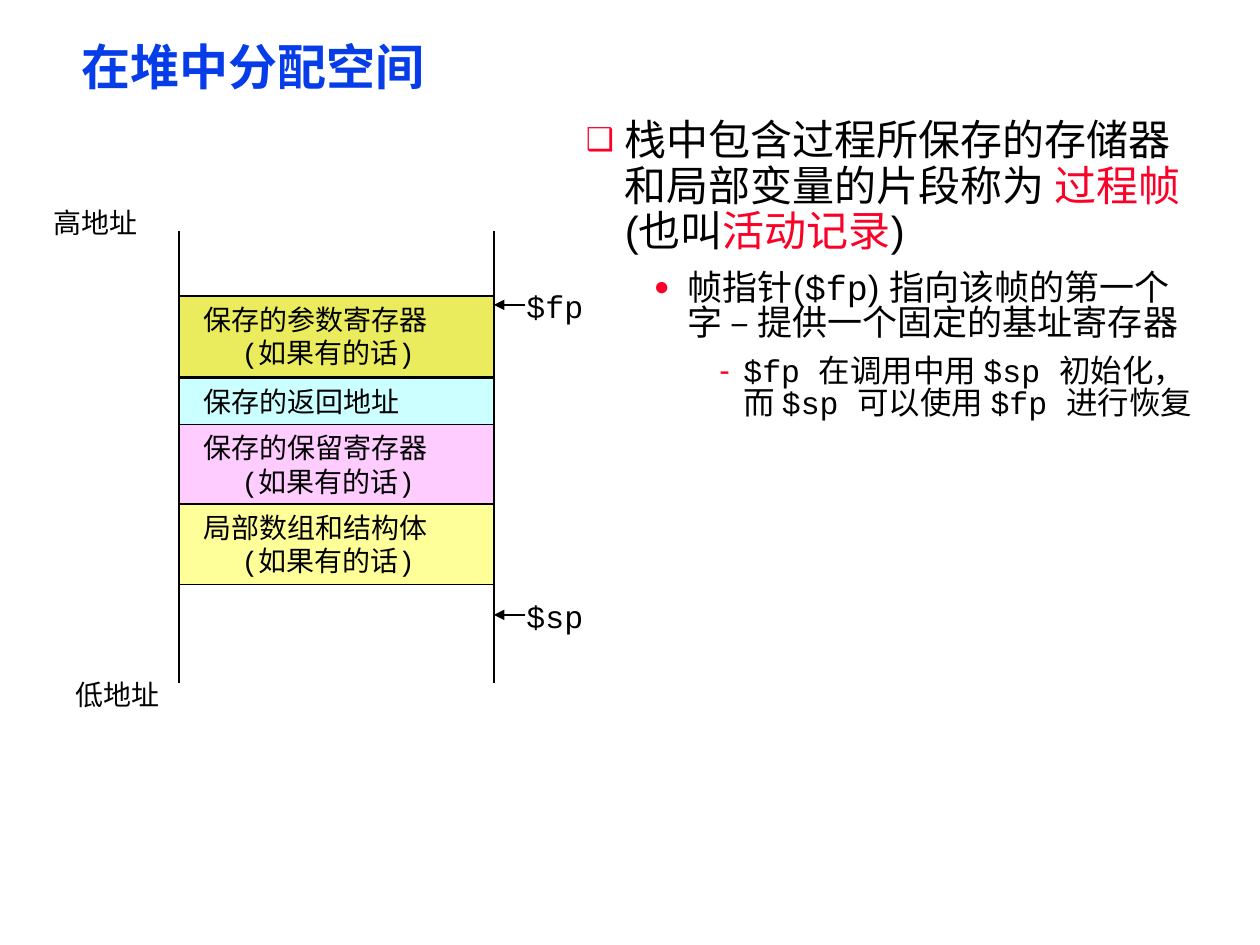
from typing import NamedTuple

from lxml import etree
from pptx import Presentation
from pptx.dml.color import RGBColor
from pptx.enum import shapes, text
from pptx.oxml import ns
from pptx.util import Inches, Pt

SANS, MONO, CJK = "Arial", "Courier New", "Noto Sans CJK SC"
BLACK, RED, BLUE = "000000", "FC0128", "063DE8"
STACK_LEFT, STACK_RIGHT = 1.42, 3.92
INSETS = (0.07, 0.03)


class Run(NamedTuple):
    text: str
    font: str = SANS
    color: str = BLACK


class Bullet(NamedTuple):
    level: int
    char: str
    scale: int
    margin: float
    hang: float
    size: int
    spacing: float
    before: int
    runs: list[Run]


class Block(NamedTuple):
    top: float
    height: float
    color: str
    lines: list[str]


class Label(NamedTuple):
    left: float
    top: float
    width: float
    height: float
    text: str
    size: int


IF_ANY = "(如果有的话)"
BLOCKS = [
    Block(2.35, 0.64, "EAEC5E", ["保存的参数寄存器", IF_ANY]),
    Block(3.0, 0.38, "CCFFFF", ["保存的返回地址"]),
    Block(3.37, 0.64, "FFCCFF", ["保存的保留寄存器", IF_ANY]),
    Block(4.0, 0.64, "FFFF99", ["局部数组和结构体", IF_ANY]),
]
LINE_INDENTS = (0.1, 0.4)
LABELS = [
    Label(0.5, 5.33, 0.88, 0.37, "低地址", 16),
    Label(0.33, 1.58, 0.88, 0.37, "高地址", 16),
    Label(4.08, 2.23, 0.65, 0.4, "$fp", 18),
    Label(4.08, 4.69, 0.65, 0.4, "$sp", 18),
]
POINTER_YS = (2.42, 4.88)
BULLETS = [
    Bullet(0, "❑", 75, 0.31, -0.31, 24, 0.9, 0, [
        Run("栈中包含过程所保存的存储器和局部变量的片段称为 "),
        Run("过程帧", color=RED), Run(" (也叫"),
        Run("活动记录", color=RED), Run(")")]),
    Bullet(1, "●", 75, 0.81, -0.27, 20, 0.85, 9, [
        Run("帧指针("), Run("$fp", MONO),
        Run(") 指向该帧的第一个字 – 提供一个固定的基址寄存器")]),
    Bullet(2, "-", 100, 1.25, -0.19, 18, 0.85, 8, [
        Run("$fp ", MONO), Run("在调用中用 "),
        Run("$sp 初始化，而 $sp ", MONO), Run("可以使用 "),
        Run("$fp ", MONO), Run("进行恢复")]),
]


def rgb(value: str) -> RGBColor:
    return RGBColor.from_string(value)


def add_xml(parent, tag: str, **attrs):
    return etree.SubElement(parent, ns.qn(tag), attrs)


def style_run(r, font: str, size: int, color: str, bold: bool = False) -> None:
    r.font.name, r.font.size, r.font.bold = font, Pt(size), bold
    r.font.color.rgb = rgb(color)
    add_xml(r.font._element, "a:ea", typeface=CJK)


def set_insets(tf) -> None:
    tf.margin_left = tf.margin_right = Inches(INSETS[0])
    tf.margin_top = tf.margin_bottom = Inches(INSETS[1])


def set_indent(p, margin: float, hang: float = 0) -> None:
    pPr = p._p.get_or_add_pPr()
    pPr.set("marL", str(Inches(margin)))
    pPr.set("indent", str(Inches(hang)))


def add_line(s, x1: float, y1: float, x2: float, y2: float, arrow: bool = False) -> None:
    line = s.shapes.add_connector(shapes.MSO_CONNECTOR.STRAIGHT,
                                  Inches(x1), Inches(y1), Inches(x2), Inches(y2))
    line.line.color.rgb = rgb(BLACK)
    line.line.width = Pt(1)
    if arrow:
        add_xml(line.line._get_or_add_ln(), "a:tailEnd", type="triangle")
    add_xml(line._element.spPr, "a:effectLst")


def add_block(s, block: Block) -> None:
    sp = s.shapes.add_shape(shapes.MSO_SHAPE.RECTANGLE, Inches(STACK_LEFT), Inches(block.top),
                            Inches(STACK_RIGHT - STACK_LEFT), Inches(block.height))
    sp.shadow.inherit = False
    sp.fill.solid()
    sp.fill.fore_color.rgb = rgb(block.color)
    sp.line.color.rgb = rgb(BLACK)
    sp.line.width = Pt(1)
    tf = sp.text_frame
    tf.vertical_anchor = text.MSO_ANCHOR.TOP
    tf.text = "\n".join(block.lines)
    for p, indent in zip(tf.paragraphs, LINE_INDENTS):
        p.alignment = text.PP_ALIGN.LEFT
        set_indent(p, indent)
        style_run(p.runs[0], MONO, 16, BLACK)


def add_label(s, label: Label) -> None:
    sp = s.shapes.add_textbox(Inches(label.left), Inches(label.top),
                              Inches(label.width), Inches(label.height))
    tf = sp.text_frame
    tf.word_wrap = False
    tf.text = label.text
    style_run(tf.paragraphs[0].runs[0], MONO, label.size, BLACK)


def add_bullet(p, bullet: Bullet) -> None:
    p.level = bullet.level
    p.line_spacing = bullet.spacing
    p.space_before = Pt(bullet.before)
    set_indent(p, bullet.margin, bullet.hang)
    pPr = p._p.get_or_add_pPr()
    add_xml(add_xml(pPr, "a:buClr"), "a:srgbClr", val=RED)
    add_xml(pPr, "a:buSzPct", val=str(bullet.scale * 1000))
    add_xml(pPr, "a:buFont", typeface=SANS)
    add_xml(pPr, "a:buChar", char=bullet.char)
    for run in bullet.runs:
        r = p.add_run()
        r.text = run.text
        style_run(r, run.font, bullet.size, run.color)


def main() -> None:
    prs = Presentation()
    prs.slide_width, prs.slide_height = Inches(10), Inches(7.5)
    s = prs.slides.add_slide(prs.slide_layouts[5])

    # Title
    title = s.shapes.title
    title.left, title.top = Inches(0.58), Inches(0.33)
    title.width, title.height = Inches(8.92), Inches(0.46)
    tf = title.text_frame
    set_insets(tf)
    tf.vertical_anchor = text.MSO_ANCHOR.MIDDLE
    tf.text = "在堆中分配空间"
    p = tf.paragraphs[0]
    p.alignment = text.PP_ALIGN.LEFT
    p.line_spacing = 0.87
    style_run(p.runs[0], CJK, 28, BLUE, bold=True)

    # Explanation
    body = s.shapes.add_textbox(Inches(4.58), Inches(0.92), Inches(5), Inches(2.5))
    tf = body.text_frame
    tf.word_wrap = True
    set_insets(tf)
    for i, bullet in enumerate(BULLETS):
        add_bullet(tf.add_paragraph() if i else tf.paragraphs[0], bullet)

    # Stack diagram
    for x in (STACK_LEFT, STACK_RIGHT):
        add_line(s, x, 1.83, x, 5.42)
    for block in BLOCKS:
        add_block(s, block)

    # Addresses and pointers
    for label in LABELS:
        add_label(s, label)
    for y in POINTER_YS:
        add_line(s, STACK_RIGHT + 0.25, y, STACK_RIGHT, y, arrow=True)

    prs.save("out.pptx")


if __name__ == "__main__":
    main()
